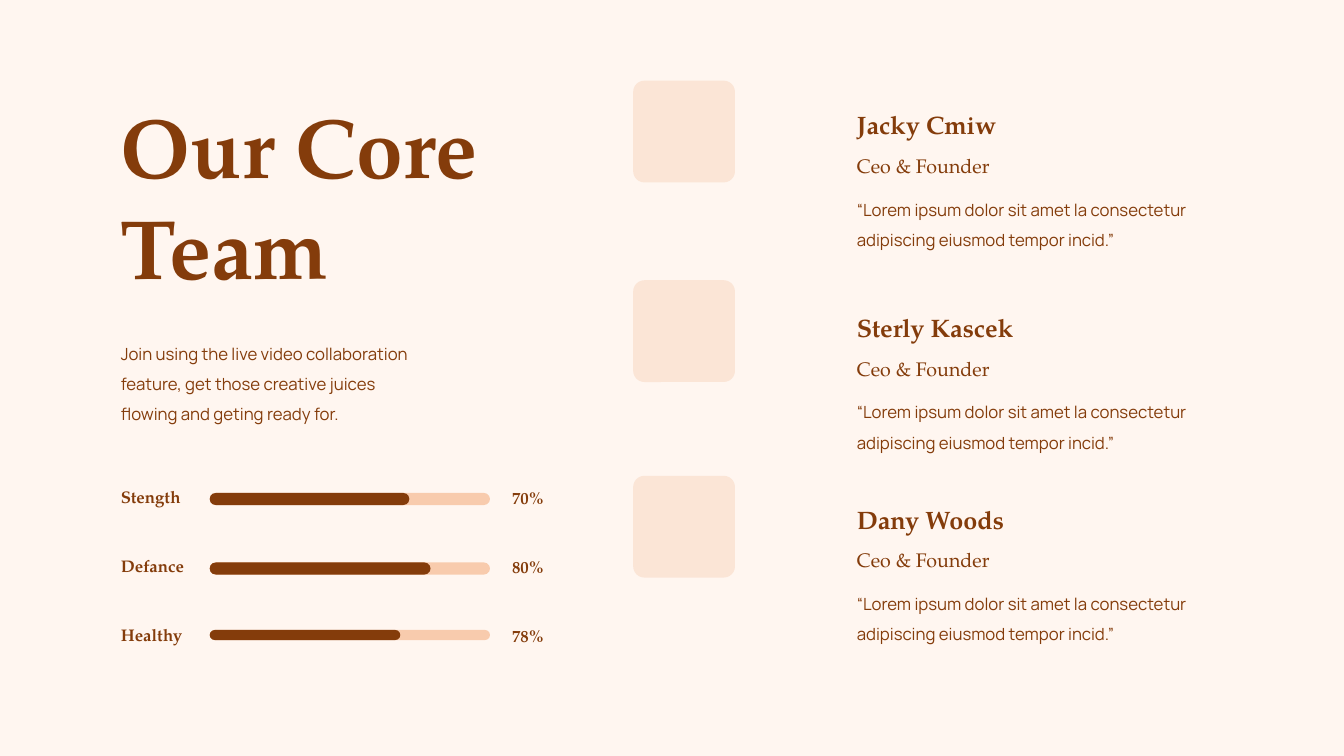
from dataclasses import dataclass

from pptx import Presentation
from pptx.dml.color import RGBColor
from pptx.enum.shapes import MSO_SHAPE
from pptx.enum.text import MSO_AUTO_SIZE
from pptx.util import Inches, Pt

ROUNDED = MSO_SHAPE.ROUNDED_RECTANGLE
GROW = MSO_AUTO_SIZE.SHAPE_TO_FIT_TEXT


@dataclass(frozen=True)
class Theme:
    """Colours, fonts and type sizes of the slide."""
    background: RGBColor = RGBColor.from_string("FFF6F0")
    ink: RGBColor = RGBColor.from_string("843C0B")
    track: RGBColor = RGBColor.from_string("F8CBAD")
    tile: RGBColor = RGBColor.from_string("FBE5D6")
    serif: str = "TeX Gyre Pagella"
    sans: str = "Manrope"
    title: int = 60
    name: int = 18
    role: int = 14
    body: int = 12


THEME = Theme()
QUOTE = "“Lorem ipsum dolor sit amet la consectetur adipiscing eiusmod tempor incid.”"
INTRO = ("Join using the live video collaboration feature, "
         "get those creative juices flowing and geting ready for.")
MEMBERS = [("Jacky Cmiw", 1.04), ("Sterly Kascek", 3.05), ("Dany Woods", 4.95)]
TILE_TOPS = [0.8, 2.78, 4.72]
SKILLS = [
    ("Stength", "70%", 4.78, 0.11, 0.12, 1.98),
    ("Defance", "80%", 5.46, 0.12, 0.12, 2.19),
    ("Healthy", "78%", 6.15, 0.10, 0.10, 1.89),
]


def add_text(page, box, text, size, font=THEME.serif, bold=False, spacing=None):
    """Write one wrapped paragraph in the box (left, top, width, height)."""
    frame = page.shapes.add_textbox(*map(Inches, box)).text_frame
    frame.word_wrap = True
    frame.auto_size = GROW
    para = frame.paragraphs[0]
    para.text = text
    para.line_spacing = spacing
    para.font.name = font
    para.font.size = Pt(size)
    para.font.bold = bold
    para.font.color.rgb = THEME.ink


def add_rounded(page, box, color, rounding):
    """Draw a borderless rounded rectangle in the box."""
    shape = page.shapes.add_shape(ROUNDED, *map(Inches, box))
    shape.adjustments[0] = rounding
    shape.shadow.inherit = False
    shape.fill.solid()
    shape.fill.fore_color.rgb = color
    shape.line.fill.background()


def add_intro(page, left, top):
    """Place the title and the introduction below it."""
    add_text(page, (left, top, 4.06, 2.12), "Our Core Team", THEME.title, bold=True)
    add_text(page, (left, top + 2.37, 3.2, 0.97), INTRO, THEME.body,
             THEME.sans, spacing=1.5)


def add_skill(page, left, top, label, value, drop, thickness, filled):
    """Place a skill label, its progress bar and its percentage."""
    bar_left, bar_top = left + 0.98, top + drop
    add_text(page, (left, top, 1.25, 0.3), label, THEME.body, bold=True)
    for width, color in ((2.78, THEME.track), (filled, THEME.ink)):
        add_rounded(page, (bar_left, bar_top, width, thickness), color, 0.5)
    add_text(page, (left + 3.88, top + 0.01, 0.69, 0.3), value, THEME.body, bold=True)


def add_member(page, left, top, name):
    """Place a member's name, role and quote."""
    add_text(page, (left, top, 2.49, 0.4), name, THEME.name, bold=True)
    add_text(page, (left, top + 0.44, 1.78, 0.34), "Ceo & Founder", THEME.role)
    add_text(page, (left, top + 0.79, 3.57, 0.67), QUOTE, THEME.body,
             THEME.sans, spacing=1.5)


def add_team_slide(deck):
    """Build the team slide."""
    page = deck.slides.add_slide(deck.slide_layouts[6])
    page.background.fill.solid()
    page.background.fill.fore_color.rgb = THEME.background
    add_intro(page, 1.1, 0.89)
    for label, value, top, drop, thickness, filled in SKILLS:
        add_skill(page, 1.1, top, label, value, drop, thickness, filled)
    for top in TILE_TOPS:
        add_rounded(page, (6.28, top, 1.01, 1.01), THEME.tile, 0.11)
    for name, top in MEMBERS:
        add_member(page, 8.4, top, name)


def main():
    """Create the deck and save it."""
    deck = Presentation()
    deck.slide_width, deck.slide_height = Inches(13.33), Inches(7.5)
    add_team_slide(deck)
    deck.save("out.pptx")


if __name__ == "__main__":
    main()
